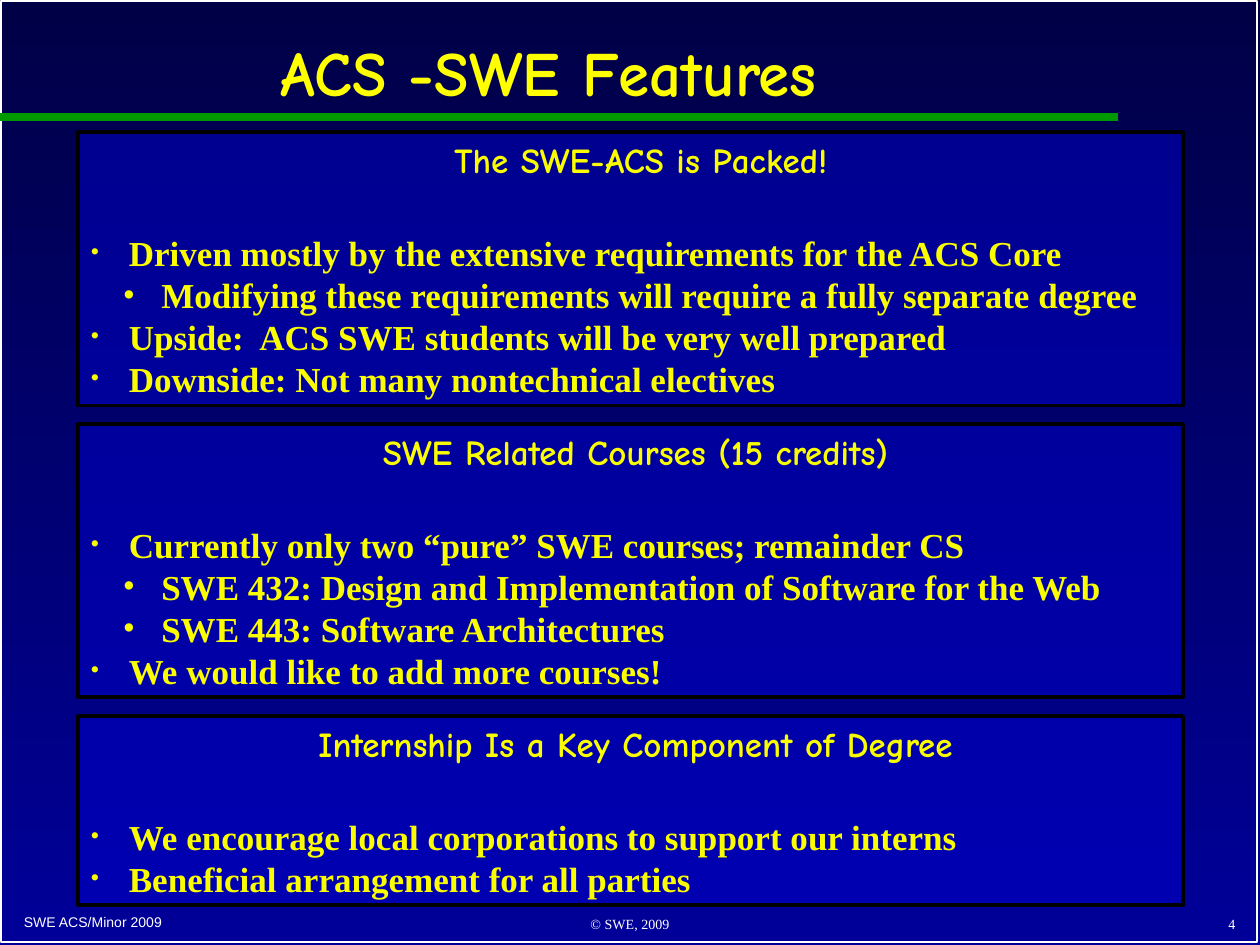
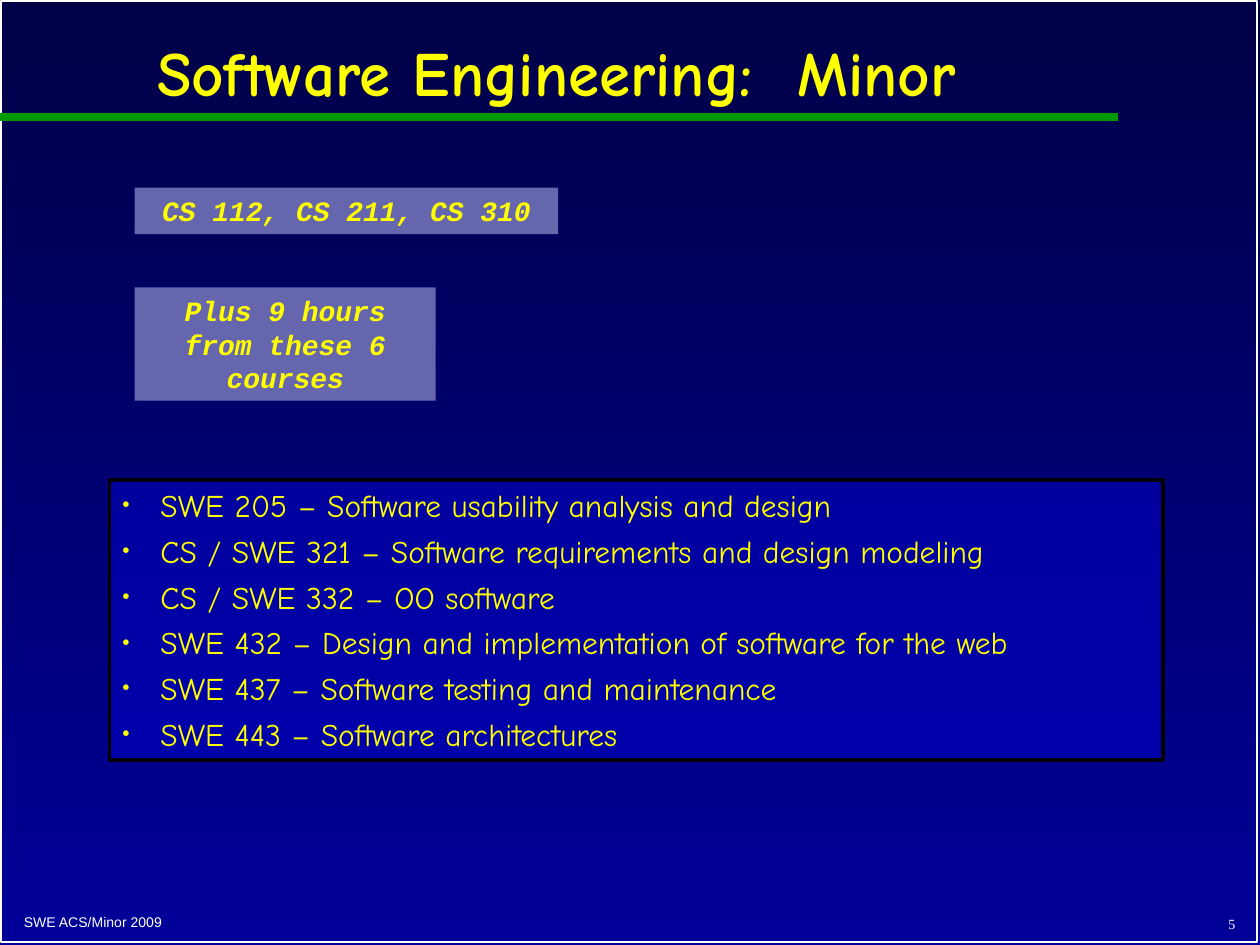
from lxml.etree import SubElement
from pptx import Presentation
from pptx.dml.color import RGBColor
from pptx.enum.shapes import MSO_CONNECTOR, MSO_SHAPE
from pptx.enum.text import MSO_ANCHOR, MSO_AUTO_SIZE, PP_ALIGN
from pptx.oxml.ns import qn
from pptx.util import Pt

# Content
FOOTER = "SWE ACS/Minor 2009"
COPYRIGHT = "© SWE, 2009"
# Each panel: heading, heading indent, bullets as (level, text)
FEATURE_PANELS = [
    ("The SWE-ACS is Packed!", 12, [
        (0, "Driven mostly by the extensive requirements for the ACS Core"),
        (1, "Modifying these requirements will require a fully separate degree"),
        (0, "Upside:  ACS SWE students will be very well prepared"),
        (0, "Downside: Not many nontechnical electives"),
    ]),
    ("SWE Related Courses (15 credits)", 6, [
        (0, "Currently only two “pure” SWE courses; remainder CS"),
        (1, "SWE 432: Design and Implementation of Software for the Web"),
        (1, "SWE 443: Software Architectures"),
        (0, "We would like to add more courses!"),
    ]),
    ("Internship Is a Key Component of Degree", 6, [
        (0, "We encourage local corporations to support our interns"),
        (0, "Beneficial arrangement for all parties"),
    ]),
]
# Each label: text, left, top, width, height
MINOR_LABELS = [
    ("CS 112, CS 211, CS 310", 77, 107.3, 242, 26.6),
    ("Plus 9 hours from these 6 courses", 77, 164.2, 172, 64.8),
]
MINOR_COURSES = [
    "SWE 205 – Software usability analysis and design",
    "CS / SWE 321 – Software requirements and design modeling",
    "CS / SWE 332 – OO software",
    "SWE 432 – Design and implementation of software for the web",
    "SWE 437 – Software testing and maintenance",
    "SWE 443 – Software architectures",
]

# Shared style
COLORS = {"top": "000047", "bottom": "000099", "rule": "009900", "panel": "0000CC",
          "label": "6666AF", "title": "FFFF00", "strong": "FAFD00",
          "white": "FFFFFF", "black": "000000"}
COMIC, TIMES, COURIER, ARIAL = "Comic Neue", "Times New Roman", "Courier New", "Arial"
LINE_HEIGHT, HEADING_GAP, PANEL_GAP, INSETS = 24, 29, 10.6, 7.2
BULLET_INDENT, LEVEL_STEP = 22, 18.5


def color(name):
    return RGBColor.from_string(COLORS[name])


def format_runs(paragraph, font_name, size, color_name, bold=False, italic=False):
    for run in paragraph.runs:
        font = run.font
        font.name, font.size, font.bold, font.italic = font_name, Pt(size), bold, italic
        font.color.rgb = color(color_name)


def add_bullet(paragraph, level, color_name):
    properties = paragraph._p.get_or_add_pPr()
    properties.set("marL", str(Pt(BULLET_INDENT + level * LEVEL_STEP)))
    properties.set("indent", str(-Pt(BULLET_INDENT)))
    bullet_color = SubElement(properties, qn("a:buClr"))
    SubElement(bullet_color, qn("a:srgbClr")).set("val", COLORS[color_name])
    SubElement(properties, qn("a:buSzPct")).set("val", "100000" if level else "75000")
    SubElement(properties, qn("a:buFont")).set("typeface", TIMES)
    SubElement(properties, qn("a:buChar")).set("char", "•")


def add_box(slide, left, top, width, height, fill=None, line=None, line_width=1):
    shape = slide.shapes.add_shape(MSO_SHAPE.RECTANGLE, Pt(left), Pt(top), Pt(width), Pt(height))
    shape.shadow.inherit = False
    if fill:
        shape.fill.solid()
        shape.fill.fore_color.rgb = color(fill)
    else:
        shape.fill.background()
    if line:
        shape.line.color.rgb = color(line)
        shape.line.width = Pt(line_width)
    else:
        shape.line.fill.background()
    shape.text_frame.word_wrap = True
    shape.text_frame.vertical_anchor = MSO_ANCHOR.TOP
    return shape


def add_panel(slide, left, top, width, height):
    shape = add_box(slide, left, top, width, height, "panel", "black", 2.25)
    fill_color = shape._element.spPr.find(qn("a:solidFill"))[0]
    SubElement(fill_color, qn("a:alpha")).set("val", "51000")
    return shape.text_frame


def add_small_text(slide, text, left, top, width, height, font_name, alignment):
    text_frame = slide.shapes.add_textbox(Pt(left), Pt(top), Pt(width), Pt(height)).text_frame
    text_frame.word_wrap = True
    text_frame.vertical_anchor = MSO_ANCHOR.BOTTOM
    text_frame.text = text
    paragraph = text_frame.paragraphs[0]
    paragraph.alignment = alignment
    format_runs(paragraph, font_name, 8, "white")


def add_slide(presentation, title_text, title_width, number):
    slide = presentation.slides.add_slide(presentation.slide_layouts[5])
    # Frame, footer and rule
    add_box(slide, 0.7, 0.7, 717.8, 537.8, line="white")
    add_small_text(slide, FOOTER, 6.5, 518.4, 110, 17, ARIAL, PP_ALIGN.LEFT)
    add_small_text(slide, number, 563, 512, 150, 24.5, TIMES, PP_ALIGN.RIGHT)
    rule = slide.shapes.add_connector(MSO_CONNECTOR.STRAIGHT, 0, Pt(67), Pt(638.6), Pt(67))
    rule.line.color.rgb = color("rule")
    rule.line.width = Pt(4.5)
    SubElement(rule._element.spPr, qn("a:effectLst"))
    # Title
    title = slide.shapes.title
    title.left, title.top, title.width, title.height = 0, 0, Pt(title_width), Pt(87)
    text_frame = title.text_frame
    text_frame.text = title_text
    text_frame.auto_size = MSO_AUTO_SIZE.NONE
    text_frame.vertical_anchor = MSO_ANCHOR.MIDDLE
    paragraph = text_frame.paragraphs[0]
    paragraph.alignment = PP_ALIGN.CENTER
    paragraph.line_spacing = 0.9
    format_runs(paragraph, COMIC, 36, "title", bold=True)
    return slide


def build_features(presentation):
    slide = add_slide(presentation, "ACS -SWE Features", 627, "4")
    add_small_text(slide, COPYRIGHT, 246, 512, 228, 24.5, TIMES, PP_ALIGN.CENTER)
    top = 75.6
    for heading, heading_indent, bullets in FEATURE_PANELS:
        height = INSETS + LINE_HEIGHT * (1 + len(bullets)) + HEADING_GAP
        text_frame = add_panel(slide, 44.6, top, 631.4, height)
        text_frame.text = heading
        paragraph = text_frame.paragraphs[0]
        paragraph.alignment = PP_ALIGN.CENTER
        paragraph.space_after = Pt(HEADING_GAP)
        paragraph._p.get_or_add_pPr().set("marL", str(Pt(heading_indent)))
        format_runs(paragraph, COMIC, 20, "strong", bold=True)
        for level, text in bullets:
            paragraph = text_frame.add_paragraph()
            paragraph.text = text
            paragraph.level = level
            paragraph.alignment = PP_ALIGN.LEFT
            paragraph.line_spacing = Pt(LINE_HEIGHT)
            add_bullet(paragraph, level, "strong")
            format_runs(paragraph, TIMES, 20, "strong", bold=True)
        top += height + PANEL_GAP


def build_minor(presentation):
    slide = add_slide(presentation, "Software Engineering:  Minor", 636, "5")
    # Requirement labels
    for text, *place in MINOR_LABELS:
        text_frame = add_box(slide, *place, fill="label").text_frame
        text_frame.text = text
        paragraph = text_frame.paragraphs[0]
        paragraph.alignment = PP_ALIGN.CENTER
        format_runs(paragraph, COURIER, 16, "title", bold=True, italic=True)
    # Course list
    text_frame = add_panel(slide, 62.6, 274.3, 602, 160)
    text_frame.text = "\n".join(MINOR_COURSES)
    for index, paragraph in enumerate(text_frame.paragraphs):
        paragraph.alignment = PP_ALIGN.LEFT
        paragraph.space_before = Pt(4.5 if index else 0)
        add_bullet(paragraph, 0, "title")
        format_runs(paragraph, COMIC, 18, "title")


def main():
    presentation = Presentation()
    presentation.slide_width, presentation.slide_height = Pt(720), Pt(540)
    background = presentation.slide_master.background.fill
    background.gradient()
    background.gradient_angle = 270
    for stop, name in zip(background.gradient_stops, ("top", "bottom")):
        stop.color.rgb = color(name)
    build_features(presentation)
    build_minor(presentation)
    presentation.save("out.pptx")


if __name__ == "__main__":
    main()
